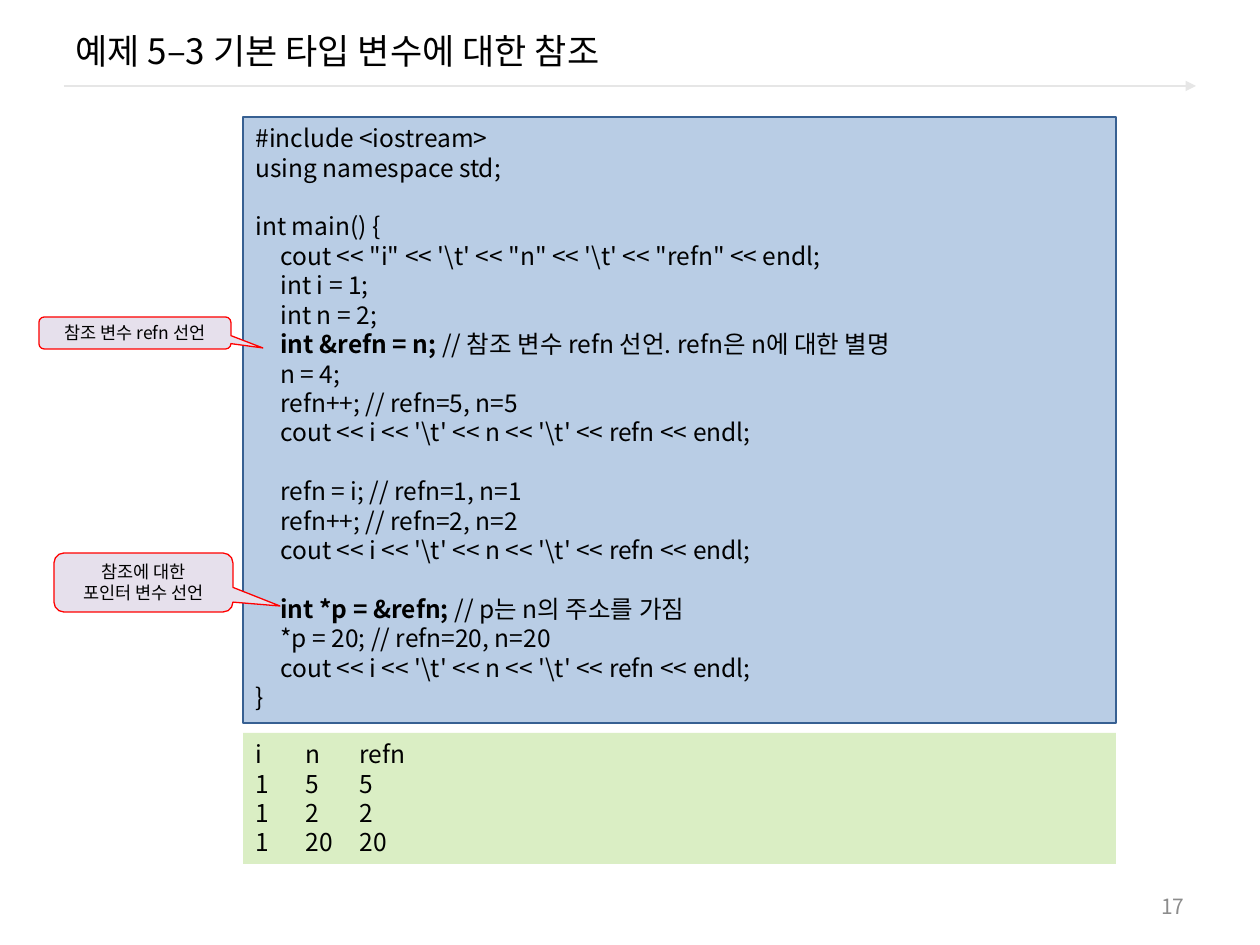
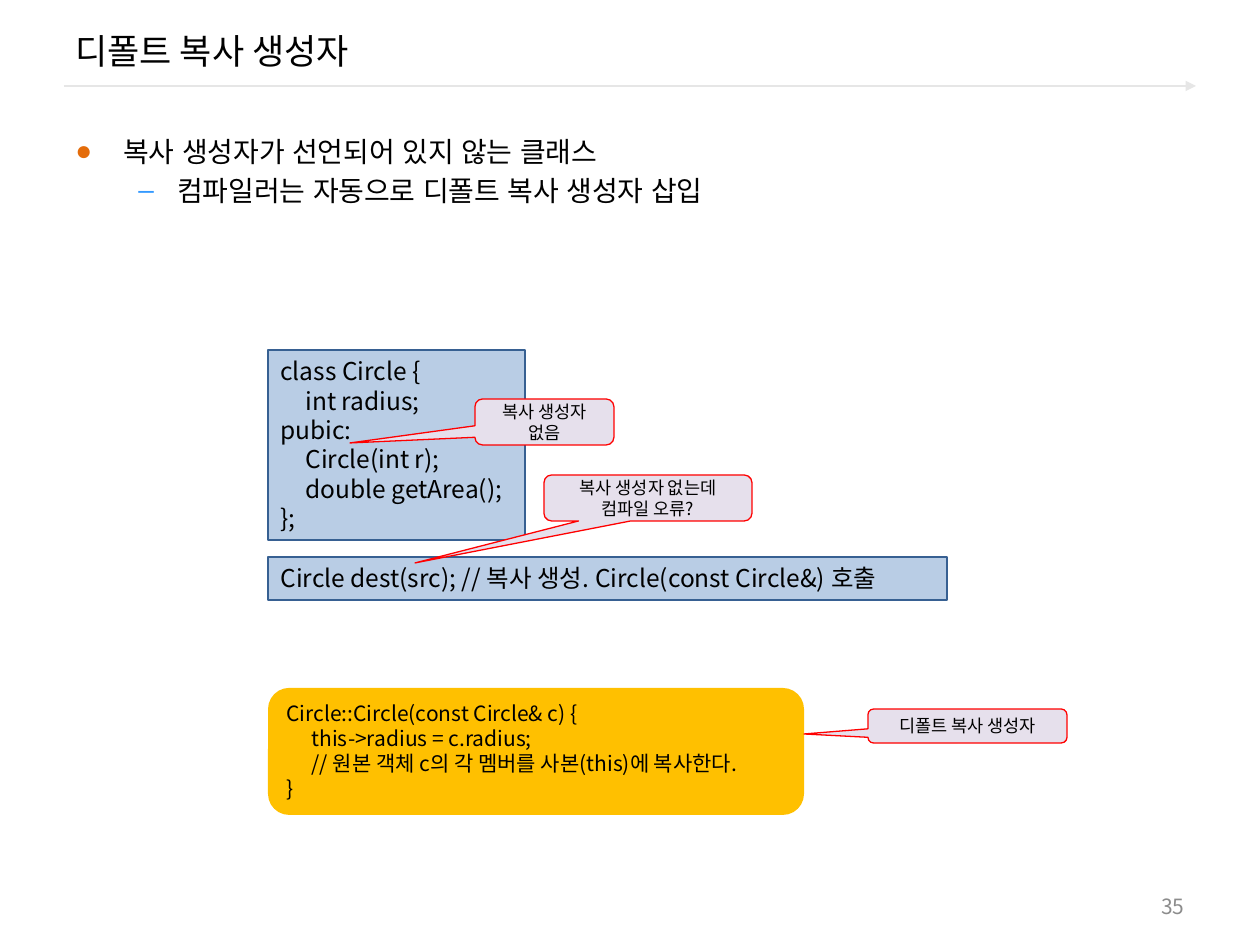
from pptx import Presentation
from pptx.dml.color import RGBColor
from pptx.enum.shapes import MSO_CONNECTOR, MSO_SHAPE
from pptx.enum.text import MSO_ANCHOR, PP_ALIGN
from pptx.oxml.ns import qn
from pptx.util import Emu, Pt
from lxml.etree import SubElement

EMU_PER_PX = 914400 / 126
FONT = "Noto Sans CJK KR"
LINE_RATIO = 1.2
CODE_TABS = (25,)
RESULT_TABS = (50, 104)

BLACK = RGBColor(0x00, 0x00, 0x00)
PAGE_GRAY = RGBColor(0x8C, 0x8C, 0x8C)
RULE_GRAY = RGBColor(0xE6, 0xE6, 0xE6)
CODE_BLUE = RGBColor(0xB9, 0xCD, 0xE5)
CODE_BORDER = RGBColor(0x37, 0x60, 0x92)
RESULT_GREEN = RGBColor(0xDA, 0xEE, 0xC4)
CALLOUT_LILAC = RGBColor(0xE6, 0xE0, 0xEC)
CALLOUT_RED = RGBColor(0xFF, 0x00, 0x00)
COPY_YELLOW = RGBColor(0xFF, 0xC0, 0x00)

TITLE = {"size": Pt(20), "name": FONT}
PAGE = {"size": Pt(12), "name": FONT}
BODY = {"size": Pt(16), "name": "Arial"}
CODE = {"size": Pt(14), "name": FONT}
SMALL_CODE = {"size": Pt(12), "name": FONT}
NOTE = {"size": Pt(10), "name": FONT}

# Left margin, hanging indent, bullet sign, bullet colour
BULLETS = [(48, -48, "●", "E46C0A"), (102, -39, "–", "3399FF")]

REFERENCE_CODE = r"""#include <iostream>
using namespace std;

int main() {
    cout << "i" << '\t' << "n" << '\t' << "refn" << endl;
    int i = 1;
    int n = 2;
    int &refn = n; // 참조 변수 refn 선언. refn은 n에 대한 별명
    n = 4;
    refn++; // refn=5, n=5
    cout << i << '\t' << n << '\t' << refn << endl;

    refn = i; // refn=1, n=1
    refn++; // refn=2, n=2
    cout << i << '\t' << n << '\t' << refn << endl;

    int *p = &refn; // p는 n의 주소를 가짐
    *p = 20; // refn=20, n=20
    cout << i << '\t' << n << '\t' << refn << endl;
}"""
KEY_STATEMENTS = ("int &refn = n; ", "int *p = &refn; ")

RESULT_ROWS = [("i", "n", "refn"), (1, 5, 5), (1, 2, 2), (1, 20, 20)]

CIRCLE_CLASS = """class Circle {
    int radius;
pubic:
    Circle(int r);
    double getArea();
};"""

COPY_CONSTRUCTOR = """Circle::Circle(const Circle& c) {
    this->radius = c.radius;
    // 원본 객체 c의 각 멤버를 사본(this)에 복사한다.
}"""


def px(length):
    return Emu(round(length * EMU_PER_PX))


def px_box(box):
    return [px(length) for length in box]


def set_values(target, values):
    for name, value in values.items():
        setattr(target, name, value)


def add_run(paragraph, text, style, color=BLACK, bold=False):
    run = paragraph.add_run()
    run.text = text
    set_values(run.font, {**style, "bold": bold})
    run.font.color.rgb = color
    latin = run.font._element.find(qn("a:latin"))
    east_asian = SubElement(run.font._element, qn("a:ea"), typeface=style["name"])
    latin.addnext(east_asian)


def add_paragraph(frame, index):
    return frame.add_paragraph() if index else frame.paragraphs[0]


def add_tab_stops(paragraph, stops):
    tab_list = SubElement(paragraph._p.get_or_add_pPr(), qn("a:tabLst"))
    for stop in stops:
        SubElement(tab_list, qn("a:tab"), pos=str(px(stop)), algn="l")


def add_text_box(slide, box, anchor):
    frame = slide.shapes.add_textbox(*px_box(box)).text_frame
    set_values(frame, {"word_wrap": True, "vertical_anchor": anchor})
    return frame


def add_filled_shape(slide, kind, box, fill, border=None):
    shape = slide.shapes.add_shape(kind, *px_box(box))
    shape.shadow.inherit = False
    shape.fill.solid()
    shape.fill.fore_color.rgb = fill
    if border is None:
        shape.line.fill.background()
    else:
        shape.line.color.rgb = border
        shape.line.width = Pt(0.75)
    return shape


def write_lines(shape, lines, style, align, anchor, tabs=(), bold_parts=()):
    """Write one tightly spaced paragraph a line, with bold_parts in bold."""
    frame = shape.text_frame
    set_values(frame, {"word_wrap": True, "vertical_anchor": anchor})
    for index, line in enumerate(lines):
        paragraph = add_paragraph(frame, index)
        if tabs:
            add_tab_stops(paragraph, tabs)
        set_values(paragraph, {"alignment": align,
                               "line_spacing": Pt(style["size"].pt * LINE_RATIO)})
        bold_part = next((part for part in bold_parts if part in line), "")
        before, _, after = line.partition(bold_part) if bold_part else (line, "", "")
        for text, bold in ((before, False), (bold_part, True), (after, False)):
            if text:
                add_run(paragraph, text, style, bold=bold)


def add_code(slide, box, code, style=CODE, kind=MSO_SHAPE.RECTANGLE,
             fill=CODE_BLUE, border=CODE_BORDER, bold_parts=()):
    shape = add_filled_shape(slide, kind, box, fill, border)
    lines = code.replace(" " * 4, "\t").split("\n")
    write_lines(shape, lines, style, PP_ALIGN.LEFT, MSO_ANCHOR.TOP, CODE_TABS, bold_parts)


def add_result(slide, box, rows):
    shape = add_filled_shape(slide, MSO_SHAPE.RECTANGLE, box, RESULT_GREEN)
    lines = ["\t".join(map(str, row)) for row in rows]
    write_lines(shape, lines, CODE, PP_ALIGN.LEFT, MSO_ANCHOR.TOP, RESULT_TABS)


def add_callout(slide, box, tip, lines):
    """Add a rounded callout whose pointer ends at tip."""
    shape = add_filled_shape(slide, MSO_SHAPE.ROUNDED_RECTANGULAR_CALLOUT, box,
                             CALLOUT_LILAC, CALLOUT_RED)
    left, top, width, height = box
    shape.adjustments[0] = (tip[0] - left) / width - 0.5
    shape.adjustments[1] = (tip[1] - top) / height - 0.5
    write_lines(shape, lines, NOTE, PP_ALIGN.CENTER, MSO_ANCHOR.MIDDLE)


def add_bullets(slide, box, lines):
    """Write lines as an outline, each one level deeper than the last."""
    frame = add_text_box(slide, box, MSO_ANCHOR.TOP)
    for level, (line, bullet) in enumerate(zip(lines, BULLETS)):
        margin, indent, sign, color = bullet
        paragraph = add_paragraph(frame, level)
        paragraph.level = level
        properties = paragraph._p.get_or_add_pPr()
        properties.set("marL", str(px(margin)))
        properties.set("indent", str(px(indent)))
        SubElement(SubElement(properties, qn("a:buClr")), qn("a:srgbClr"), val=color)
        SubElement(properties, qn("a:buFont"), typeface="Arial")
        SubElement(properties, qn("a:buChar"), char=sign)
        if level:
            paragraph.space_before = Pt(3.2)
        add_run(paragraph, line, BODY)


def add_title_rule(slide):
    rule = slide.shapes.add_connector(MSO_CONNECTOR.STRAIGHT, px(64), px(86), px(1196), px(86))
    rule.line.color.rgb = RULE_GRAY
    rule.line.width = Pt(1.5)
    SubElement(rule.line._get_or_add_ln(), qn("a:tailEnd"), type="triangle")
    SubElement(rule._element.spPr, qn("a:effectLst"))


def add_base_slide(presentation, title, number):
    """Add a slide with the shared title, rule and page number."""
    slide = presentation.slides.add_slide(presentation.slide_layouts[6])
    add_title_rule(slide)
    frame = add_text_box(slide, (63, 10, 1134, 81), MSO_ANCHOR.MIDDLE)
    add_run(frame.paragraphs[0], title, TITLE)
    frame = add_text_box(slide, (903, 886, 294, 40), MSO_ANCHOR.MIDDLE)
    frame.paragraphs[0].alignment = PP_ALIGN.RIGHT
    add_run(frame.paragraphs[0], str(number), PAGE, PAGE_GRAY)
    return slide


def build_reference_slide(presentation):
    slide = add_base_slide(presentation, "예제 5–3 기본 타입 변수에 대한 참조", 17)
    add_code(slide, (243, 117, 873, 606), REFERENCE_CODE, bold_parts=KEY_STATEMENTS)
    add_result(slide, (243, 733, 873, 131), RESULT_ROWS)
    add_callout(slide, (39, 317, 192, 32), (263, 348), ["참조 변수 refn 선언"])
    add_callout(slide, (54, 553, 179, 59), (280, 606), ["참조에 대한", "포인터 변수 선언"])


def build_copy_constructor_slide(presentation):
    slide = add_base_slide(presentation, "디폴트 복사 생성자", 35)
    add_bullets(slide, (63, 128, 1134, 758),
                ["복사 생성자가 선언되어 있지 않는 클래스",
                 "컴파일러는 자동으로 디폴트 복사 생성자 삽입"])
    add_code(slide, (268, 350, 257, 190), CIRCLE_CLASS)
    add_callout(slide, (475, 399, 139, 46), (350, 443), ["복사 생성자 없음"])
    add_code(slide, (268, 557, 679, 43),
             "Circle dest(src); // 복사 생성. Circle(const Circle&) 호출")
    add_callout(slide, (544, 475, 208, 46), (415, 563),
                ["복사 생성자 없는데", "컴파일 오류?"])
    add_code(slide, (268, 688, 536, 127), COPY_CONSTRUCTOR, SMALL_CODE,
             MSO_SHAPE.ROUNDED_RECTANGLE, COPY_YELLOW, None)
    add_callout(slide, (868, 709, 199, 34), (804, 734), ["디폴트 복사 생성자"])


def main():
    presentation = Presentation()
    set_values(presentation, {"slide_width": px(1260), "slide_height": px(945)})
    build_reference_slide(presentation)
    build_copy_constructor_slide(presentation)
    presentation.save("out.pptx")


if __name__ == "__main__":
    main()
